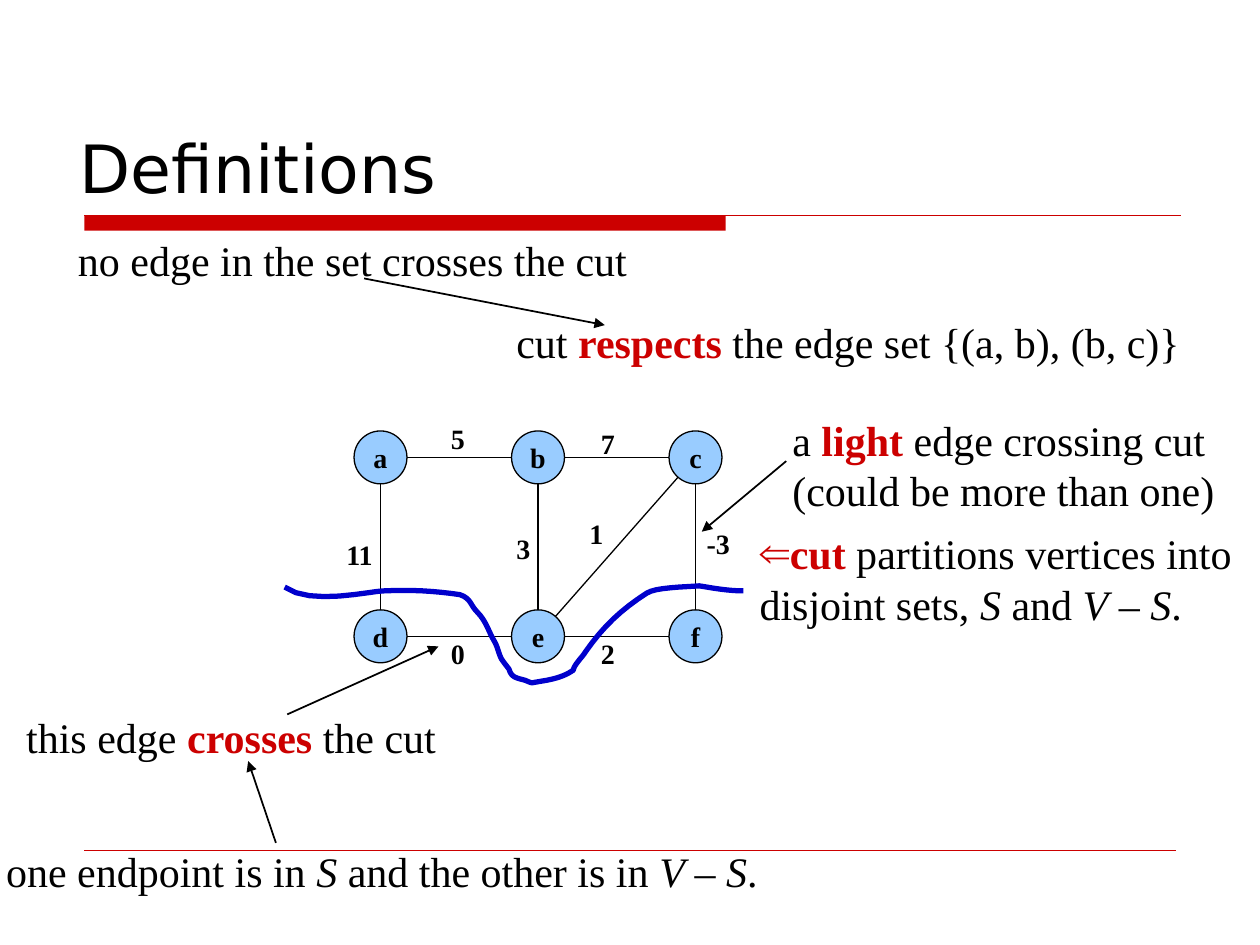
import math
import pptx
import pptx.util
import pptx.dml.color
import pptx.enum.shapes
import pptx.enum.text
import pptx.oxml.ns
import lxml.etree

Inches, Pt = pptx.util.Inches, pptx.util.Pt
Shape = pptx.enum.shapes.MSO_SHAPE
Anchor = pptx.enum.text.MSO_ANCHOR
Align = pptx.enum.text.PP_ALIGN
Fit = pptx.enum.text.MSO_AUTO_SIZE
qn = pptx.oxml.ns.qn

HUES = {"ink": "000000", "red": "CC0000", "node": "99CCFF", "cut": "0000CC"}
SERIF, SANS = "Times New Roman", "DejaVu Sans"
STYLES = {"": {}, "key": {"bold": True}, "var": {"italic": True}}


def hue(name):
    return pptx.dml.color.RGBColor.from_string(HUES[name])


def put(item, form):
    for key, value in form.items():
        setattr(item, key, value)


def child(parent, tag, **attrs):
    return lxml.etree.SubElement(parent, qn(tag), attrs)


def write(para, text, style="", size=24, face=SERIF):
    run = para.add_run()
    run.text = text
    put(run.font, {"size": Pt(size), "name": face, **STYLES[style]})
    run.font.color.rgb = hue("red" if style == "key" else "ink")


def paint(shape, fill=None, line=None, width=0.75):
    shape.shadow.inherit = False
    for part, name in ((shape.fill, fill), (shape.line.fill, line)):
        if name:
            part.solid()
            part.fore_color.rgb = hue(name)
        else:
            part.background()
    if line:
        shape.line.width = Pt(width)


def draw(slide, start, end, color="ink", width=0.75, arrow=False):
    kind = pptx.enum.shapes.MSO_CONNECTOR.STRAIGHT
    line = slide.shapes.add_connector(kind, *map(Inches, (*start, *end)))
    line.line.color.rgb = hue(color)
    line.line.width = Pt(width)
    if arrow:
        child(line.line._get_or_add_ln(), "a:tailEnd", type="triangle")
    child(line._element.spPr, "a:effectLst")


def label(slide, box, paras, size=24):
    frame = slide.shapes.add_textbox(*map(Inches, box)).text_frame
    put(frame, {"word_wrap": False, "auto_size": Fit.SHAPE_TO_FIT_TEXT})
    for i, runs in enumerate(paras):
        para = frame.add_paragraph() if i else frame.paragraphs[0]
        for run in runs:
            write(para, *run, size=size)
    return frame


# Title with its two-weight rule
def head(slide, box):
    x, y, w, h = box
    title = slide.shapes.title
    put(title, dict(zip(("left", "top", "width", "height"), map(Inches, box))))
    frame = title.text_frame
    put(frame, {"vertical_anchor": Anchor.BOTTOM, "word_wrap": True})
    frame.paragraphs[0].alignment = Align.LEFT
    write(frame.paragraphs[0], "Definitions", size=38, face=SANS)
    left, top = x + 0.14, y + h + 0.02
    bar = slide.shapes.add_shape(
        Shape.RECTANGLE, *map(Inches, (left, top, 5.09, 0.12)))
    paint(bar, "red")
    draw(slide, (left, top), (left + 8.7, top), "red", 1)


# Weighted graph: two rows of three nodes
def graph(slide, box):
    x, y, w, h = box
    size = 0.42
    step, drop = (w - size) / 2, h - size
    mids = {}
    for i, name in enumerate("abcdef"):
        row, col = divmod(i, 3)
        left, top = x + col * step, y + row * drop
        mids[name] = left + size / 2, top + size / 2
        node = slide.shapes.add_shape(
            Shape.OVAL, *map(Inches, (left, top, size, size)))
        paint(node, "node", "ink")
        frame = node.text_frame
        put(frame, {"vertical_anchor": Anchor.MIDDLE, "word_wrap": False})
        frame.paragraphs[0].alignment = Align.CENTER
        write(frame.paragraphs[0], name, "key", 16)
        frame.paragraphs[0].runs[0].font.color.rgb = hue("ink")

    # Each edge runs from rim to rim; its weight sits at an offset in the box
    edges = (("ab", "5", 0.67, -0.12), ("bc", "7", 1.86, -0.08),
             ("ad", "11", -0.16, 0.8), ("be", "3", 1.19, 0.75),
             ("ec", "1", 1.77, 0.63), ("cf", "-3", 2.7, 0.71),
             ("de", "0", 0.67, 1.58), ("ef", "2", 1.86, 1.58))
    for ends, weight, dx, dy in edges:
        (ax, ay), (bx, by) = (mids[end] for end in ends)
        cut = size / 2 / math.dist((ax, ay), (bx, by))
        gx, gy = (bx - ax) * cut, (by - ay) * cut
        draw(slide, (ax + gx, ay + gy), (bx - gx, by - gy))
        wide = {"11": 0.42, "-3": 0.4}.get(weight, 0.31)
        frame = label(slide, (x + dx, y + dy, wide, 0.37),
                      [[(weight, "key")]], 16)
        frame.paragraphs[0].runs[0].font.color.rgb = hue("ink")


# Cut line: cubic curves, sampled into short segments
def curve(slide, box):
    x, y = box[:2]
    start = (0, 0.01)
    bends = (
        ((0.21, 0.16), (0.68, 0.04), (0.79, 0.04)),
        ((1, 0.03), (1.19, 0.04), (1.39, 0.07)),
        ((1.48, 0.1), (1.47, 0.15), (1.53, 0.21)),
        ((1.6, 0.28), (1.62, 0.37), (1.67, 0.45)),
        ((1.69, 0.49), (1.7, 0.54), (1.72, 0.58)),
        ((1.74, 0.61), (1.78, 0.66), (1.78, 0.66)),
        ((1.8, 0.73), (1.84, 0.73), (1.91, 0.75)),
        ((1.93, 0.76), (1.96, 0.77), (1.96, 0.77)),
        ((2.07, 0.75), (2.19, 0.74), (2.29, 0.67)),
        ((2.3, 0.62), (2.36, 0.57), (2.39, 0.52)),
        ((2.53, 0.32), (2.67, 0.19), (2.87, 0.06)),
        ((2.94, 0.01), (3.18, 0.01), (3.29, 0)),
        ((3.41, 0.02), (3.52, 0.04), (3.64, 0.04)))
    dots, last, count = [start], start, 8
    for bend in bends:
        for i in range(1, count + 1):
            t = i / count
            parts = [math.comb(3, n) * t**n * (1 - t)**(3 - n)
                     for n in range(4)]
            dots.append(tuple(sum(p * c for p, c in zip(parts, axis))
                              for axis in zip(last, *bend)))
        last = bend[-1]
    spots = [(Inches(x + dx), Inches(y + dy)) for dx, dy in dots]
    pen = slide.shapes.build_freeform(*spots[0])
    pen.add_line_segments(spots[1:], close=False)
    paint(pen.convert_to_shape(), line="cut", width=3)


# Remark, with an optional arrow given as offsets in its box
def note(slide, box, paras, arrow=None, mark=None):
    frame = label(slide, box, paras)
    if mark:
        props = frame.paragraphs[0]._p.get_or_add_pPr()
        tint = child(props, "a:buClr")
        child(tint, "a:srgbClr", val=HUES["red"])
        child(props, "a:buFont", typeface=SERIF)
        child(props, "a:buChar", char=mark)
    if arrow:
        start, end = ((box[0] + dx, box[1] + dy) for dx, dy in arrow)
        draw(slide, start, end, width=1, arrow=True)


def main():
    deck = pptx.Presentation()
    put(deck, {"slide_width": Inches(10), "slide_height": Inches(7.5)})
    slide = deck.slides.add_slide(deck.slide_layouts[5])
    head(slide, (0.53, 0.58, 7.44, 1.11))
    draw(slide, (0.67, 6.75), (9.33, 6.75), "red", 0.25)
    graph(slide, (2.81, 3.42, 2.92, 1.84))
    curve(slide, (2.26, 4.65, 3.65, 0.77))
    note(slide, (5.93, 4.14, 3.98, 0.9),
         [[("cut", "key"), (" partitions vertices into",)],
          [("disjoint sets, ",), ("S", "var"), (" and ",), ("V", "var"),
           (" – ",), ("S", "var"), (".",)]], mark="⇐")
    note(slide, (0.11, 5.6, 3.46, 0.5),
         [[("this edge ",), ("crosses", "key"), (" the cut",)]],
         ((2.17, 0.07), (3.37, -0.47)))
    note(slide, (6.19, 3.24, 3.55, 0.9),
         [[("a ",), ("light", "key"), (" edge crossing cut",)],
          [("(could be more than one)",)]],
         ((0.05, 0.42), (-0.62, 0.98)))
    note(slide, (4, 2.46, 5.47, 0.5),
         [[("cut ",), ("respects", "key"),
           (" the edge set {(a, b), (b, c)}",)]])
    note(slide, (-0.05, 6.66, 6.17, 0.5),
         [[("one endpoint is in ",), ("S", "var"),
           (" and the other is in ",), ("V – S", "var"), (".",)]],
         ((2.24, 0.03), (2.02, -0.62)))
    note(slide, (0.52, 1.81, 4.56, 0.5),
         [[("no edge in the set crosses the cut",)]],
         ((2.37, 0.4), (4.28, 0.77)))
    deck.save("out.pptx")


if __name__ == "__main__":
    main()
